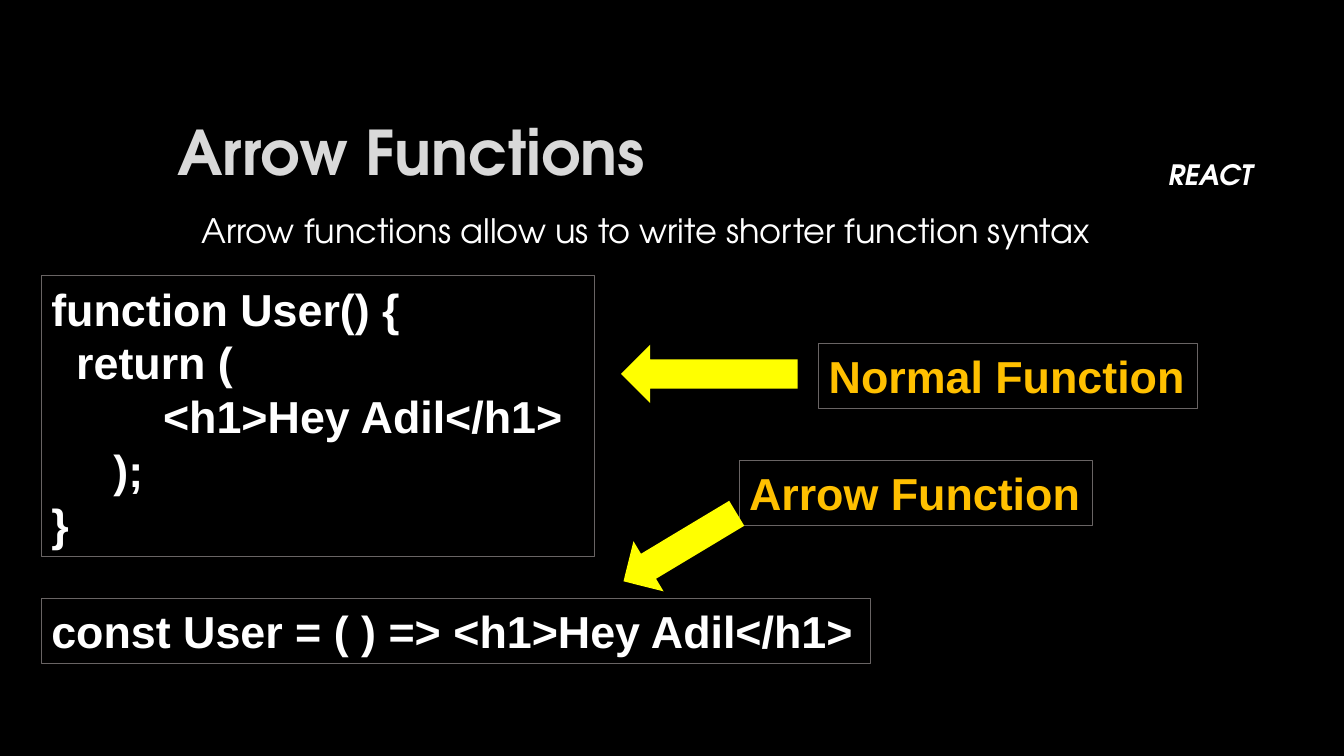
from pptx import Presentation
from pptx.dml.color import RGBColor
from pptx.enum.shapes import MSO_SHAPE as Shape
from pptx.enum.text import MSO_ANCHOR as Anchor, MSO_AUTO_SIZE as Fit, PP_ALIGN as Align
from pptx.util import Inches, Pt

WIDE, HIGH = Inches(13.33), Inches(7.5)
HEAD, CODE = "TeX Gyre Adventor", "Arial"
WHITE, GOLD, YELLOW, GREY = "FFFFFF", "FFC000", "FFFF00", "696464"
LEFT, EDGE = 12.45, 3.08  # heading and code margins, % of width
ROW = 8.53  # height of a one-line box, % of height

SNIPPET = """function User() {
  return (
         <h1>Hey Adil</h1>
     );
}"""


def color(code):
    return RGBColor.from_string(code)


def place(x, y, w, h):
    """Turn percentages of the slide into lengths."""
    return [int(side * share / 100)
            for side, share in zip((WIDE, HIGH, WIDE, HIGH), (x, y, w, h))]


def write(shape, text, size=32, font=CODE, ink=WHITE, bold=True, italic=False,
          anchor=Anchor.MIDDLE, wrap=False, space=None):
    frame = shape.text_frame
    frame.word_wrap = wrap
    frame.auto_size = Fit.NONE if wrap else Fit.SHAPE_TO_FIT_TEXT
    frame.vertical_anchor = anchor
    frame.text = text
    for para in frame.paragraphs:
        para.alignment = Align.LEFT
        para.line_spacing = space
        for run in para.runs:
            face = run.font
            face.name, face.size = font, Pt(size)
            face.bold, face.italic = bold, italic
            face.color.rgb = color(ink)


def label(slide, text, area, **style):
    box = slide.shapes.add_textbox(*place(*area))
    write(box, text, font=HEAD, **style)
    return box


def frame(slide, text, area, **style):
    box = slide.shapes.add_shape(Shape.RECTANGLE, *place(*area))
    box.shadow.inherit = False
    box.fill.background()
    box.line.color.rgb = color(GREY)
    box.line.width = Pt(0.75)
    write(box, text, **style)


def arrow(slide, area, turn=0):
    mark = slide.shapes.add_shape(Shape.LEFT_ARROW, *place(*area))
    mark.shadow.inherit = False
    mark.fill.solid()
    mark.fill.fore_color.rgb = color(YELLOW)
    mark.line.fill.background()
    mark.rotation = turn


def main():
    deck = Presentation()
    deck.slide_width, deck.slide_height = WIDE, HIGH
    slide = deck.slides.add_slide(deck.slide_layouts[6])
    back = slide.background.fill
    back.solid()
    back.fore_color.rgb = color("000000")

    # Headings
    label(slide, "REACT", (86.17, 20.13, 7.88, 5.87), size=20, italic=True)
    label(slide, "Arrow Functions", (LEFT, 5.6, 75, 20), size=44, ink="D9D9D9",
          anchor=Anchor.BOTTOM, wrap=True, space=0.9)
    intro = label(slide, "Arrow functions allow us to write shorter function syntax",
                  (LEFT, 27.73, 75, 60), size=24, bold=False,
                  anchor=Anchor.TOP, wrap=True, space=0.9)
    intro.text_frame.margin_left = Inches(0.34)

    # Code samples
    frame(slide, SNIPPET, (EDGE, 36.4, 41.18, 37.2))
    frame(slide, "const User = ( ) => <h1>Hey Adil</h1>", (EDGE, 79.2, 61.67, ROW))

    # Names of the two forms, each with its arrow
    frame(slide, "Normal Function", (60.92, 45.47, 28.21, ROW), ink=GOLD)
    arrow(slide, (46.21, 45.6, 13.13, 7.73))
    frame(slide, "Arrow Function", (54.99, 60.93, 26.33, ROW), ink=GOLD)
    arrow(slide, (45.69, 68.53, 9.83, 7.73), turn=329)

    deck.save("out.pptx")


if __name__ == "__main__":
    main()
